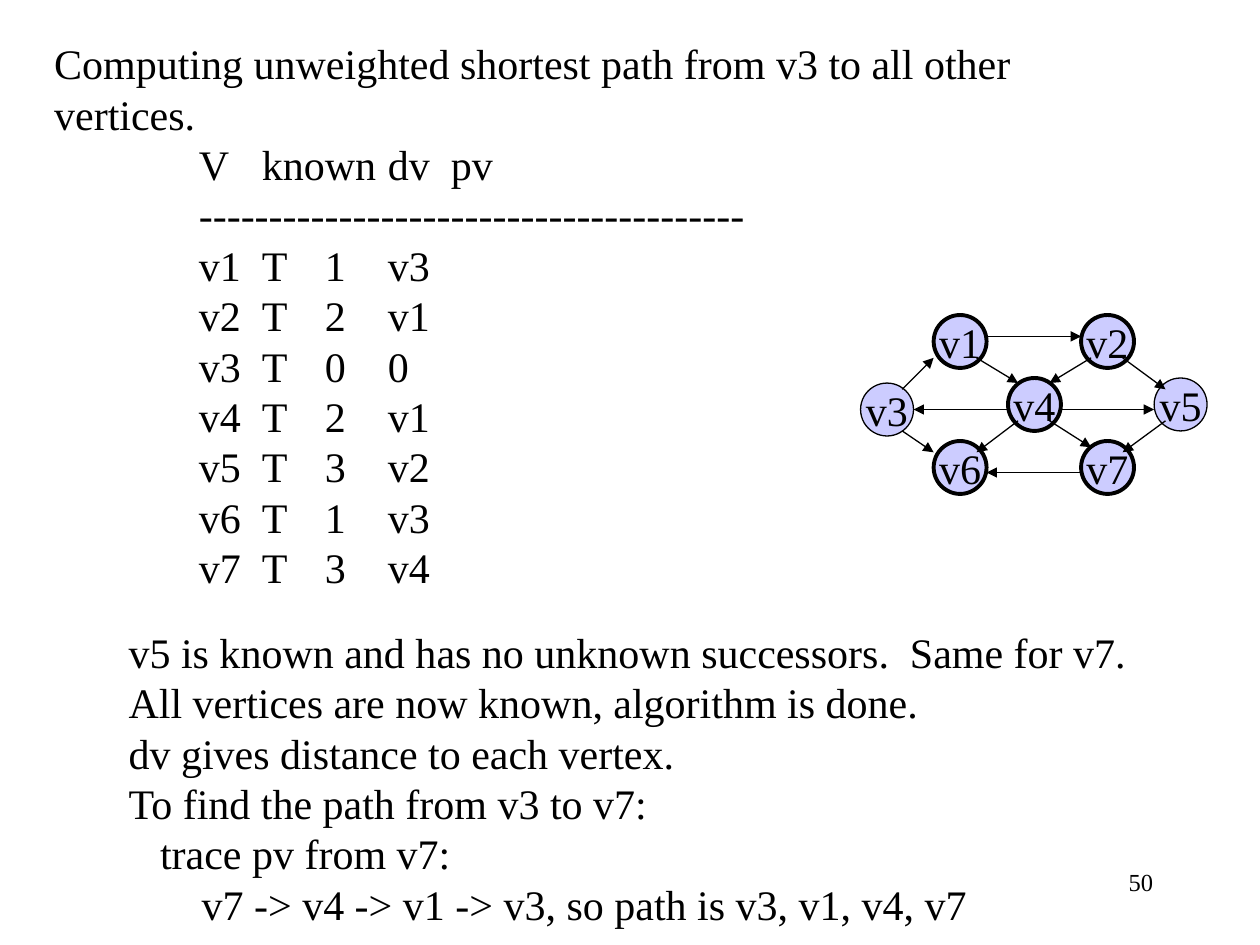
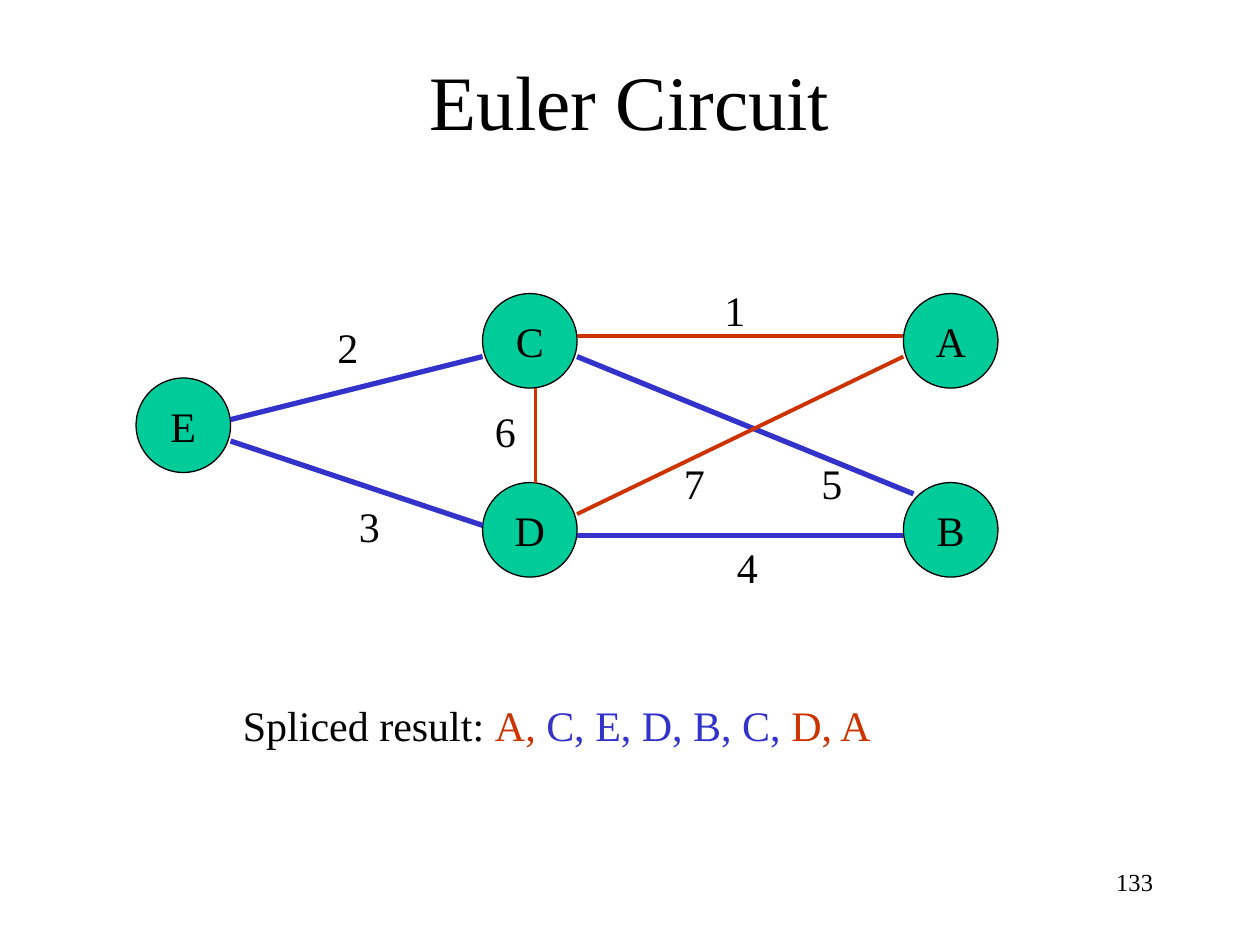
from lxml.etree import SubElement as Sub
from pptx import Presentation
from pptx.dml.color import RGBColor
from pptx.enum.shapes import MSO_CONNECTOR as Conn, MSO_SHAPE as Form
from pptx.enum.text import MSO_ANCHOR as Anchor, MSO_AUTO_SIZE as Fit, PP_ALIGN as Align
from pptx.oxml.ns import qn
from pptx.util import Inches, Pt

# Shared look
FONT = "Times New Roman"
BLACK, LILAC, GREEN = "000000", "CCCCFF", "00CC99"
RED, BLUE = "CC3300", "3333CC"
SIZE = 24


def paint(color):
    return RGBColor.from_string(color)


def write(shape, *lines, size=SIZE, align=Align.LEFT, anchor=Anchor.TOP,
          wrap=True, tabs=(), indents=()):
    """Fill a shape; a line is a string or a list of (text, colour) pairs."""
    frame = shape.text_frame
    frame.auto_size = Fit.NONE
    frame.word_wrap = wrap
    frame.vertical_anchor = anchor
    for i, line in enumerate(lines):
        para = frame.paragraphs[0] if i == 0 else frame.add_paragraph()
        props = para._p.get_or_add_pPr()
        left = indents[i] if indents else 0
        props.set("marL", str(Inches(left)))
        props.set("indent", "0")
        Sub(props, qn("a:buNone"))
        if tabs:
            stops = Sub(props, qn("a:tabLst"))
            for pos, side in tabs:
                Sub(stops, qn("a:tab"), pos=str(Inches(pos)), algn=side)
        para.alignment = align
        para.space_before = Pt(0)
        for text, color in [(line, BLACK)] if isinstance(line, str) else line:
            run = para.add_run()
            run.text = text
            run.font.name = FONT
            run.font.size = Pt(size)
            run.font.color.rgb = paint(color)


def place(shape, left, top, width, height):
    shape.left, shape.top = Inches(left), Inches(top)
    shape.width, shape.height = Inches(width), Inches(height)
    return shape


def box(slide, left, top, width, height, *lines, **style):
    area = [Inches(n) for n in (left, top, width, height)]
    write(slide.shapes.add_textbox(*area), *lines, **style)


def number(slide, value):
    box(slide, 7.17, 6.83, 2.08, 0.5, value, size=14, align=Align.RIGHT)


def node(slide, name, left, top, size, fill, weight=0.75):
    dot = slide.shapes.add_shape(Form.OVAL, Inches(left), Inches(top),
                                 Inches(size), Inches(size))
    dot.shadow.inherit = False
    dot.fill.solid()
    dot.fill.fore_color.rgb = paint(fill)
    dot.line.color.rgb = paint(BLACK)
    dot.line.width = Pt(weight)
    write(dot, name, align=Align.CENTER, anchor=Anchor.MIDDLE, wrap=False)


def edge(slide, ends, color=BLACK, weight=0.75, arrow=False):
    link = slide.shapes.add_connector(Conn.STRAIGHT, *map(Inches, ends))
    link.line.color.rgb = paint(color)
    link.line.width = Pt(weight)
    if arrow:
        Sub(link.line._get_or_add_ln(), qn("a:tailEnd"), type="triangle")
    Sub(link._element.spPr, qn("a:effectLst"))


def path_slide(deck):
    slide = deck.slides.add_slide(deck.slide_layouts[1])
    title, body = slide.placeholders
    number(slide, "50")

    # Heading
    write(place(title, 0.33, 0.25, 8.6, 0.9),
          "Computing unweighted shortest path from v3 to all other vertices.")

    # Distance listing, aligned by tab stops
    rows = [("v1", 1, "v3"), ("v2", 2, "v1"), ("v3", 0, "0"), ("v4", 2, "v1"),
            ("v5", 3, "v2"), ("v6", 1, "v3"), ("v7", 3, "v4")]
    box(slide, 1.48, 1.05, 4.53, 3.8, "V\tknown\tdv\tpv", "-" * 39,
        *[f"{v}\tT\t{dist}\t{prev}" for v, dist, prev in rows],
        wrap=False, tabs=[(1, "l"), (3.33, "r"), (4, "l")])

    # Conclusion
    write(place(body, 0.92, 4.92, 8.33, 2.52),
          "v5 is known and has no unknown successors.  Same for v7.",
          "All vertices are now known, algorithm is done.",
          "dv gives distance to each vertex.",
          "To find the path from v3 to v7:",
          "trace pv from v7:",
          "v7 -> v4 -> v1 -> v3, so path is v3, v1, v4, v7",
          indents=[0, 0, 0, 0, 0.25, 0.58])

    # Directed graph
    thin, bold = 0.75, 2.25
    for name, left, top, weight in [
            ("v3", 6.83, 3.04, thin), ("v1", 7.41, 2.5, bold),
            ("v6", 7.41, 3.5, bold), ("v5", 9.16, 3, thin),
            ("v2", 8.58, 2.5, bold), ("v7", 8.58, 3.5, bold),
            ("v4", 8, 3, bold)]:
        node(slide, name, left, top, 0.42, LILAC, weight)
    for ends in [
            (7.16, 3.09, 7.41, 2.84),  # v3 to v1
            (7.16, 3.42, 7.41, 3.59),  # v3 to v6
            (8, 3.25, 7.25, 3.25),     # v4 to v3
            (7.83, 2.67, 8.58, 2.67),  # v1 to v2
            (9.25, 3.34, 8.91, 3.59),  # v5 to v7
            (8.91, 2.84, 9.25, 3.09),  # v2 to v5
            (7.75, 2.84, 8.08, 3.04),  # v1 to v4
            (8.66, 2.84, 8.33, 3.04),  # v2 to v4
            (8.41, 3.25, 9.16, 3.25),  # v4 to v5
            (8.33, 3.34, 8.66, 3.55),  # v4 to v7
            (8.58, 3.75, 7.83, 3.75),  # v7 to v6
            (8.08, 3.34, 7.75, 3.59)]:  # v4 to v6
        edge(slide, ends, arrow=True)


def euler_slide(deck):
    slide = deck.slides.add_slide(deck.slide_layouts[5])
    number(slide, "133")
    write(place(slide.shapes.title, 0.75, 0.17, 8.5, 1.25), "Euler Circuit",
          size=44, align=Align.CENTER, anchor=Anchor.MIDDLE)

    # Vertices
    for name, left, top in [("A", 7.17, 2.33), ("B", 7.17, 3.83),
                            ("C", 3.83, 2.33), ("D", 3.83, 3.83),
                            ("E", 1.08, 3)]:
        node(slide, name, left, top, 0.75, GREEN)

    # Edges of the two circuits, each with its step and label place
    weights = {RED: 2.25, BLUE: 3}
    for step, color, ends, left, top in [
            ("1", RED, (7.17, 2.67, 4.58, 2.67), 5.65, 2.21),
            ("4", BLUE, (7.17, 4.25, 4.58, 4.25), 5.75, 4.25),
            ("2", BLUE, (3.83, 2.83, 1.83, 3.33), 2.58, 2.5),
            ("3", BLUE, (3.83, 4.17, 1.83, 3.5), 2.75, 3.92),
            ("6", RED, (4.25, 3.08, 4.25, 3.83), 3.83, 3.17),
            ("5", BLUE, (4.58, 2.83, 7.25, 3.92), 6.42, 3.58),
            ("7", RED, (4.58, 4.08, 7.17, 2.83), 5.33, 3.58)]:
        edge(slide, ends, color, weights[color])
        box(slide, left, top, 0.37, 0.5, step, wrap=False)

    # Result
    box(slide, 1.83, 5.5, 5.37, 0.5,
        [("Spliced result:\t", BLACK), ("A, ", RED),
         ("C, E, D, B, C, ", BLUE), ("D, A", RED)],
        wrap=False, tabs=[(2.17, "l")])


def main():
    deck = Presentation()
    deck.slide_width, deck.slide_height = Inches(10), Inches(7.5)
    path_slide(deck)
    euler_slide(deck)
    deck.save("out.pptx")


if __name__ == "__main__":
    main()
